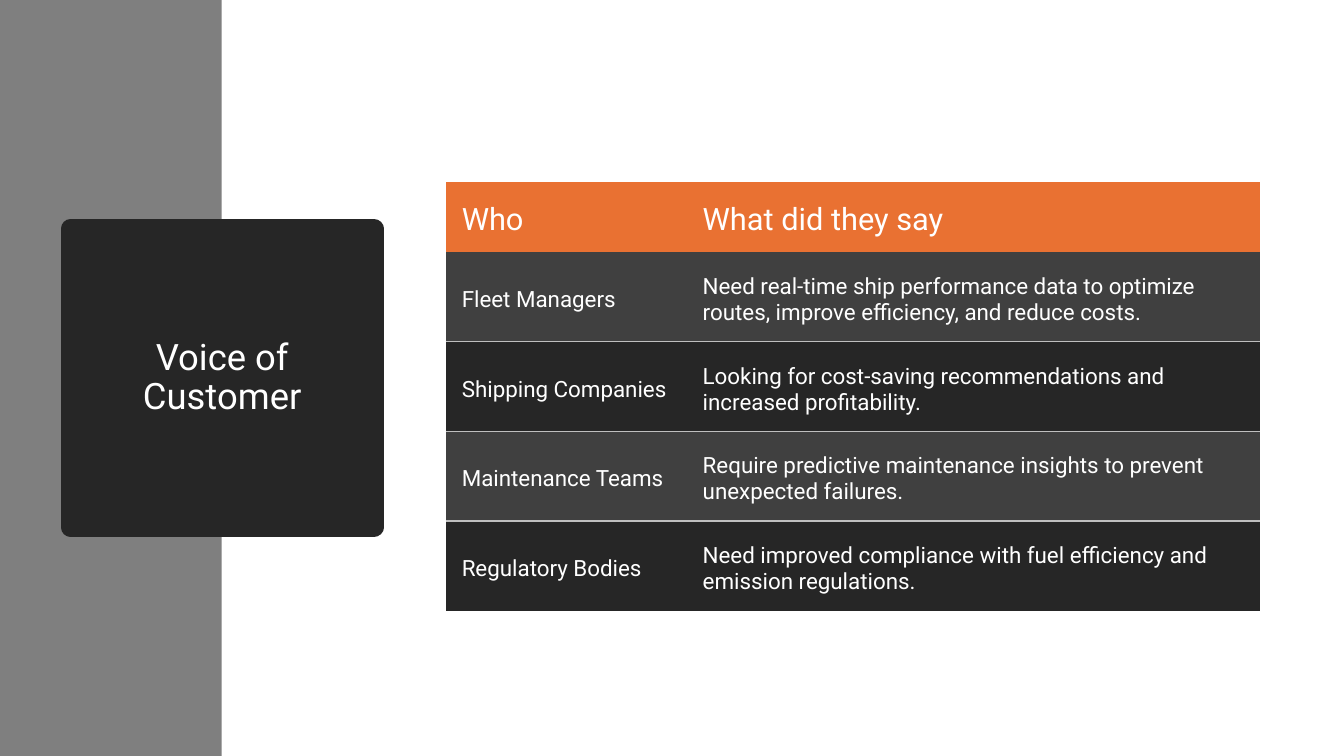
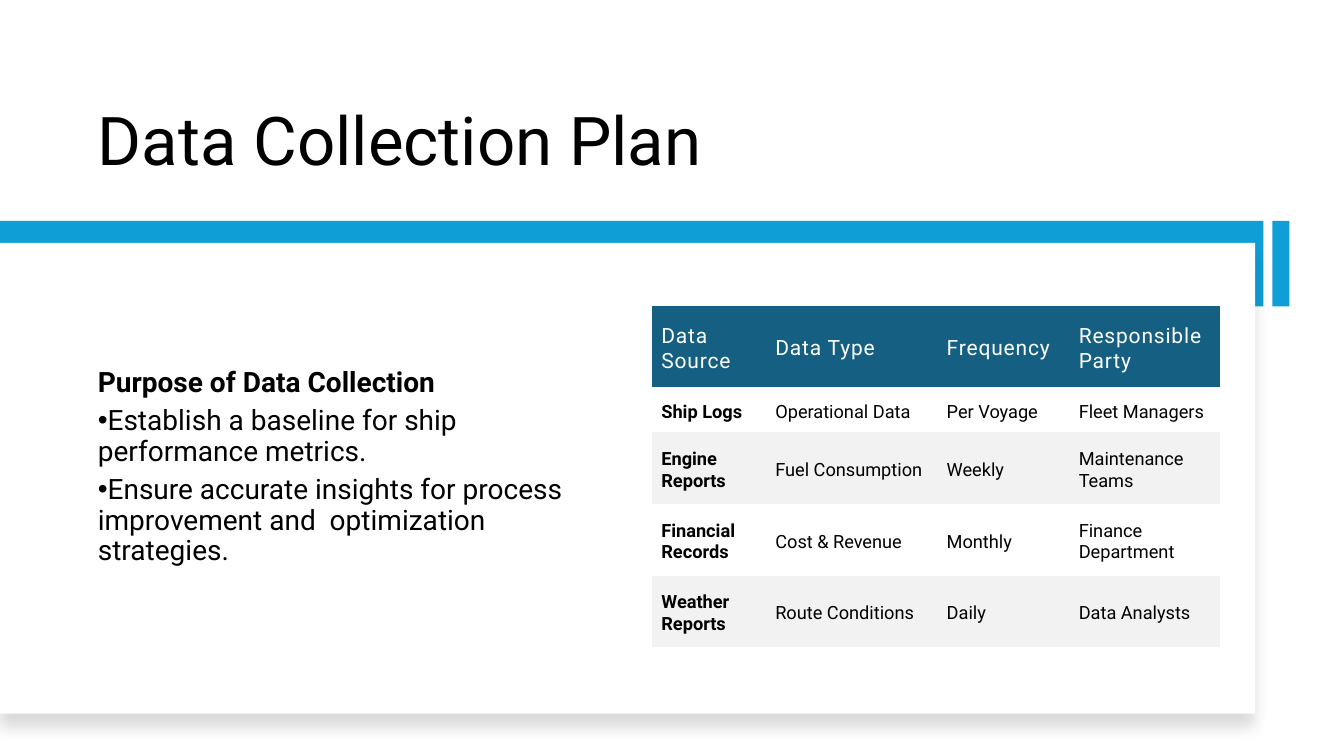
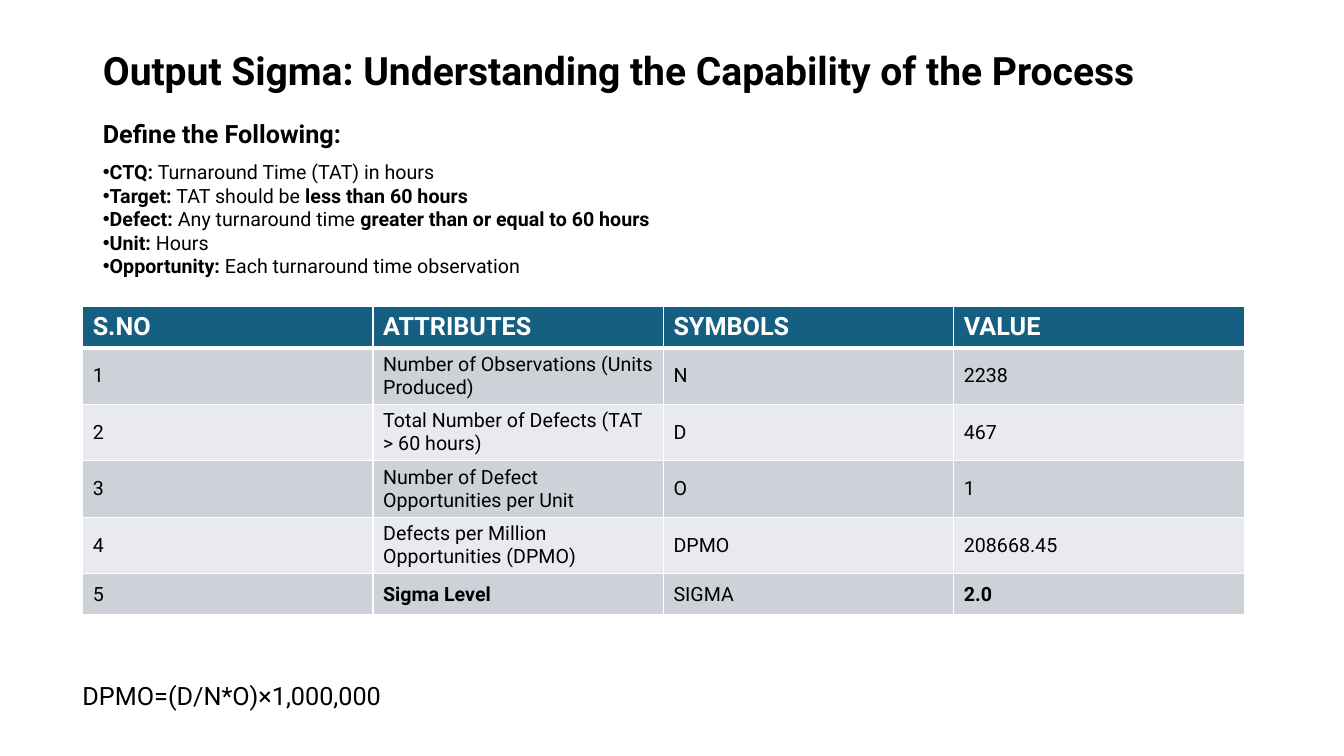
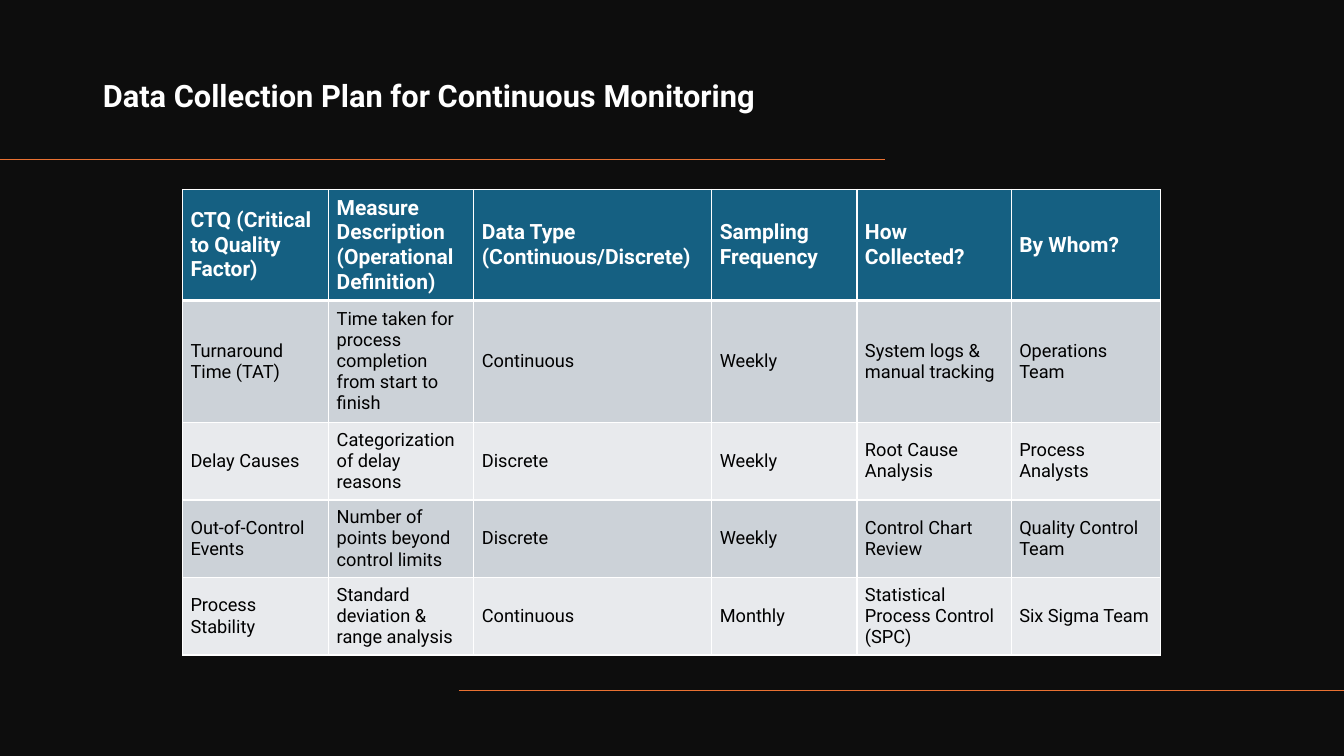
from dataclasses import dataclass

from lxml import etree
from pptx import Presentation
from pptx import slide as sl
from pptx import table as tb
from pptx import util as u
from pptx.dml import color
from pptx.enum import shapes, text
from pptx.oxml import ns
from pptx.shapes import autoshape, base

LEFT, CENTER = text.PP_ALIGN.LEFT, text.PP_ALIGN.CENTER
TOP, MIDDLE, BOTTOM = text.MSO_ANCHOR.TOP, text.MSO_ANCHOR.MIDDLE, text.MSO_ANCHOR.BOTTOM
TITLE_AND_BODY, TITLE_ONLY = 1, 5
PLAIN_TABLE = "{2D5ABB26-0587-4C30-8999-92F81FD0307C}"


@dataclass(frozen=True)
class Theme:
    font: str = "Roboto"
    white: str = "FFFFFF"
    black: str = "000000"
    night: str = "0D0D0D"
    charcoal: str = "262626"
    graphite: str = "404040"
    grey: str = "7F7F7F"
    rule: str = "BFBFBF"
    pale: str = "F2F2F2"
    band_dark: str = "CCD2D8"
    band_light: str = "E8EAED"
    orange: str = "E97132"
    blue: str = "0F9ED5"
    petrol: str = "156082"
    display: float = 48
    headline: float = 27.9
    card: float = 26
    heading: float = 22
    lead: float = 20
    subhead: float = 18
    cell: float = 16
    column_head: float = 15
    body: float = 14
    small: float = 13


THEME = Theme()


@dataclass(frozen=True)
class Box:
    left: float
    top: float
    width: float
    height: float

    def emu(self) -> tuple[u.Length, ...]:
        return tuple(u.Inches(v) for v in (self.left, self.top, self.width, self.height))


@dataclass(frozen=True)
class Run:
    words: str
    size: float
    bold: bool = False
    ink: str = THEME.black
    tracking: int = 0


@dataclass(frozen=True)
class Para:
    runs: tuple[Run, ...]
    spacing: float = 1.0
    after: float = 0
    bullet: bool = False
    align: text.PP_ALIGN = LEFT


@dataclass(frozen=True)
class Insets:
    left: float = 0.1
    top: float = 0.05
    right: float = 0.1
    bottom: float = 0.05


@dataclass(frozen=True)
class TableLook:
    header_fill: str
    row_fills: tuple[str | None, str | None]
    header_size: float
    body_size: float
    body_ink: str = THEME.black
    header_bold: bool = False
    tracking: int = 0
    insets: Insets = Insets()
    bold_cells: frozenset[tuple[int, int]] = frozenset()


def rgb(value: str) -> color.RGBColor:
    return color.RGBColor.from_string(value)


def set_insets(target, insets: Insets) -> None:
    for side in ("left", "top", "right", "bottom"):
        setattr(target, f"margin_{side}", u.Inches(getattr(insets, side)))


def add_run(paragraph, run: Run) -> None:
    piece = paragraph.add_run()
    piece.text = run.words
    piece.font.name = THEME.font
    piece.font.size = u.Pt(run.size)
    piece.font.bold = run.bold
    piece.font.color.rgb = rgb(run.ink)
    if run.tracking:
        piece.font._element.set("spc", str(run.tracking))


def write(frame, paras: list[Para], anchor: text.MSO_ANCHOR, insets: Insets = Insets()) -> None:
    frame.word_wrap = True
    frame.auto_size = text.MSO_AUTO_SIZE.NONE
    frame.vertical_anchor = anchor
    set_insets(frame, insets)
    for index, para in enumerate(paras):
        line = frame.paragraphs[0] if index == 0 else frame.add_paragraph()
        props = line._p.get_or_add_pPr()
        props.set("marL", "0")
        props.set("indent", "0")
        if para.bullet:
            etree.SubElement(props, ns.qn("a:buChar")).set("char", "•")
        else:
            etree.SubElement(props, ns.qn("a:buNone"))
        line.alignment = para.align
        line.line_spacing = para.spacing
        line.space_before = u.Pt(0)
        line.space_after = u.Pt(para.after)
        for run in para.runs:
            add_run(line, run)


def place(slide: sl.Slide, holder: base.BaseShape, box: Box) -> None:
    holder.left, holder.top, holder.width, holder.height = box.emu()
    slide.shapes._spTree.append(holder._element)


def add_title(slide: sl.Slide, box: Box, run: Run, anchor: text.MSO_ANCHOR,
              insets: Insets = Insets(), align: text.PP_ALIGN = LEFT) -> base.BaseShape:
    title = slide.shapes.title
    place(slide, title, box)
    write(title.text_frame, [Para((run,), spacing=0.9, align=align)], anchor, insets)
    return title


def add_body(slide: sl.Slide, box: Box, paras: list[Para], anchor: text.MSO_ANCHOR,
             insets: Insets = Insets()) -> None:
    body = slide.placeholders[1]
    place(slide, body, box)
    write(body.text_frame, paras, anchor, insets)


def add_band(slide: sl.Slide, box: Box, fill: str) -> autoshape.Shape:
    band = slide.shapes.add_shape(shapes.MSO_SHAPE.RECTANGLE, *box.emu())
    band.shadow.inherit = False
    band.fill.solid()
    band.fill.fore_color.rgb = rgb(fill)
    band.line.fill.background()
    return band


def add_soft_shadow(panel: autoshape.Shape) -> None:
    effects = panel._element.spPr.find(ns.qn("a:effectLst"))
    shadow = etree.SubElement(effects, ns.qn("a:outerShdw"), blurRad=str(u.Pt(11)),
                              dist=str(u.Pt(10)), dir="5400000", algn="t", rotWithShape="0")
    tint = etree.SubElement(shadow, ns.qn("a:srgbClr"), val=THEME.black)
    etree.SubElement(tint, ns.qn("a:alpha"), val="15000")


def add_rule(slide: sl.Slide, left: float, right: float, top: float) -> None:
    rule = slide.shapes.add_connector(shapes.MSO_CONNECTOR.STRAIGHT, u.Inches(left),
                                      u.Inches(top), u.Inches(right), u.Inches(top))
    rule.line.color.rgb = rgb(THEME.orange)
    rule.line.width = u.Pt(1)
    etree.SubElement(rule._element.spPr, ns.qn("a:effectLst"))


def set_borders(cell, ink: str, **widths: float) -> None:
    props = cell._tc.get_or_add_tcPr()
    sides = [side for side in "LRTB" if side in widths]
    for index, side in enumerate(sides):
        edge = etree.Element(ns.qn(f"a:ln{side}"), w=str(u.Pt(widths[side])))
        fill = etree.SubElement(edge, ns.qn("a:solidFill"))
        etree.SubElement(fill, ns.qn("a:srgbClr"), val=ink)
        props.insert(index, edge)


def add_grid(table: tb.Table) -> None:
    for number, row in enumerate(table.rows):
        for cell in row.cells:
            set_borders(cell, THEME.white, L=1, R=1, T=3 if number == 1 else 1,
                        B=3 if number == 0 else 1)


def add_table(slide: sl.Slide, left: float, top: float, widths: list[float],
              heights: list[float], rows: list[tuple[str, ...]], look: TableLook) -> tb.Table:
    box = Box(left, top, sum(widths), sum(heights))
    table = slide.shapes.add_table(len(rows), len(widths), *box.emu()).table
    table.first_row = table.horz_banding = False
    table._tbl.tblPr.find(ns.qn("a:tableStyleId")).text = PLAIN_TABLE
    for column, width in zip(table.columns, widths):
        column.width = u.Inches(width)
    for r, (height, words) in enumerate(zip(heights, rows)):
        table.rows[r].height = u.Inches(height)
        fill = look.row_fills[(r - 1) % 2] if r else look.header_fill
        for c, label in enumerate(words):
            cell = table.cell(r, c)
            cell.vertical_anchor = MIDDLE
            set_insets(cell, look.insets)
            if fill:
                cell.fill.solid()
                cell.fill.fore_color.rgb = rgb(fill)
            else:
                cell.fill.background()
            run = (Run(label, look.body_size, (r, c) in look.bold_cells, look.body_ink) if r
                   else Run(label, look.header_size, look.header_bold, THEME.white, look.tracking))
            add_run(cell.text_frame.paragraphs[0], run)
    return table


def voice_of_customer(slide: sl.Slide) -> None:
    add_band(slide, Box(0, 0, 2.2, 7.5), THEME.grey)
    card = add_title(slide, Box(0.7, 2.27, 3.01, 2.96),
                     Run("Voice of Customer", THEME.card, ink=THEME.white), MIDDLE,
                     Insets(left=0.44, right=0.44), CENTER)
    card.fill.solid()
    card.fill.fore_color.rgb = rgb(THEME.charcoal)
    card.line.color.rgb = rgb(THEME.charcoal)
    card.line.width = u.Pt(13.75)
    voices = [
        ("Who", "What did they say"),
        ("Fleet Managers", "Need real-time ship performance data to optimize routes, "
                           "improve efficiency, and reduce costs."),
        ("Shipping Companies", "Looking for cost-saving recommendations and increased profitability."),
        ("Maintenance Teams", "Require predictive maintenance insights to prevent unexpected failures."),
        ("Regulatory Bodies", "Need improved compliance with fuel efficiency and emission regulations."),
    ]
    look = TableLook(THEME.orange, (THEME.graphite, THEME.charcoal), THEME.heading, THEME.cell,
                     body_ink=THEME.white, insets=Insets(0.16, 0.14, 0.16, 0.08))
    table = add_table(slide, 4.42, 1.81, [2.39, 5.69], [0.69] + [0.89] * 4, voices, look)
    for number in range(1, len(voices)):
        for cell in table.rows[number].cells:
            set_borders(cell, THEME.rule, **{"B" if number % 2 else "T": 1})


def data_collection_plan(slide: sl.Slide) -> None:
    add_title(slide, Box(0.87, 0.42, 11.01, 1.42),
              Run("Data Collection Plan", THEME.display), BOTTOM)
    add_band(slide, Box(0, 2.19, 12.53, 0.85), THEME.blue)
    add_soft_shadow(add_band(slide, Box(0, 2.41, 12.45, 4.67), THEME.white))
    purposes = (
        "Establish a baseline for ship performance metrics.",
        "Ensure accurate insights for process improvement and  optimization strategies.",
    )
    heading = Para((Run("Purpose of Data Collection", THEME.lead, True),), 0.9, 6)
    points = [Para((Run(purpose, THEME.lead),), 0.9, 6, True) for purpose in purposes]
    add_body(slide, Box(0.87, 2.84, 4.96, 3.98), [heading, *points], MIDDLE, Insets(bottom=0.44))
    add_band(slide, Box(12.62, 2.19, 0.17, 0.85), THEME.blue)
    sources = [
        ("Data Source", "Data Type", "Frequency", "Responsible Party"),
        ("Ship Logs", "Operational Data", "Per Voyage", "Fleet Managers"),
        ("Engine Reports", "Fuel Consumption", "Weekly", "Maintenance Teams"),
        ("Financial Records", "Cost & Revenue", "Monthly", "Finance Department"),
        ("Weather Reports", "Route Conditions", "Daily", "Data Analysts"),
    ]
    look = TableLook(THEME.petrol, (None, THEME.pale), THEME.column_head, THEME.small,
                     tracking=60, insets=Insets(0.09, 0.09, 0.09, 0.05),
                     bold_cells=frozenset((row, 0) for row in range(1, len(sources))))
    add_table(slide, 6.47, 3.04, [1.13, 1.7, 1.31, 1.49], [0.8, 0.45] + [0.71] * 3, sources, look)


def output_sigma(slide: sl.Slide) -> None:
    add_title(slide, Box(0.92, 0.4, 11.5, 0.87),
              Run("Output Sigma: Understanding the Capability of the Process", THEME.headline, True),
              MIDDLE, Insets(bottom=0.28))
    attributes = [
        ("S.NO", "ATTRIBUTES", "SYMBOLS", "VALUE"),
        ("1", "Number of Observations (Units Produced)", "N", "2238"),
        ("2", "Total Number of Defects (TAT > 60 hours)", "D", "467"),
        ("3", "Number of Defect Opportunities per Unit", "O", "1"),
        ("4", "Defects per Million Opportunities (DPMO)", "DPMO", "208668.45"),
        ("5", "Sigma Level", "SIGMA", "2.0"),
    ]
    look = TableLook(THEME.petrol, (THEME.band_dark, THEME.band_light), THEME.subhead, THEME.body,
                     header_bold=True, bold_cells=frozenset({(5, 1), (5, 3)}))
    add_grid(add_table(slide, 0.82, 3.04, [2.88] * 4, [0.41] * 6, attributes, look))
    definitions = [
        ("CTQ:", " Turnaround Time (TAT) in hours"),
        ("Target:", " TAT should be ", "less than 60 hours"),
        ("Defect:", " Any turnaround time ", "greater than or equal to 60 hours"),
        ("Unit:", " Hours"),
        ("Opportunity:", " Each turnaround time observation"),
    ]
    paras = [Para((Run("Define the Following:", THEME.subhead, True),), 1.5)]
    for number, parts in enumerate(definitions):
        runs = tuple(Run(part, THEME.body, i % 2 == 0) for i, part in enumerate(parts))
        paras.append(Para(runs, 1.0 if number else 1.5, bullet=True))
    add_body(slide, Box(0.92, 0.97, 7.98, 1.85), paras, TOP)
    formula = slide.shapes.add_textbox(*Box(0.72, 6.7, 6.67, 0.4).emu())
    write(formula.text_frame, [Para((Run("DPMO=(D/N*O)×1,000,000", THEME.subhead),))], TOP)


def continuous_monitoring(slide: sl.Slide) -> None:
    add_band(slide, Box(0, 0, 13.33, 7.5), THEME.night)
    add_title(slide, Box(0.92, 0.42, 7.86, 1.12),
              Run("Data Collection Plan for Continuous Monitoring", THEME.heading, True, THEME.white),
              BOTTOM, Insets(bottom=0.41))
    add_rule(slide, 0, 8.78, 1.58)
    add_rule(slide, 4.55, 13.33, 6.85)
    measures = [
        ("CTQ (Critical to Quality Factor)", "Measure Description (Operational Definition)",
         "Data Type (Continuous/Discrete)", "Sampling Frequency", "How Collected?", "By Whom?"),
        ("Turnaround Time (TAT)", "Time taken for process completion from start to finish",
         "Continuous", "Weekly", "System logs & manual tracking", "Operations Team"),
        ("Delay Causes", "Categorization of delay reasons",
         "Discrete", "Weekly", "Root Cause Analysis", "Process Analysts"),
        ("Out-of-Control Events", "Number of points beyond control limits",
         "Discrete", "Weekly", "Control Chart Review", "Quality Control Team"),
        ("Process Stability", "Standard deviation & range analysis",
         "Continuous", "Monthly", "Statistical Process Control (SPC)", "Six Sigma Team"),
    ]
    look = TableLook(THEME.petrol, (THEME.band_dark, THEME.band_light), THEME.column_head,
                     THEME.small, header_bold=True, insets=Insets(0.08, 0.04, 0.08, 0.04))
    add_grid(add_table(slide, 1.81, 1.88, [1.45, 1.44, 2.36, 1.44, 1.53, 1.48],
                       [1.1, 1.21] + [0.77] * 3, measures, look))


def main() -> None:
    deck = Presentation()
    deck.slide_width, deck.slide_height = u.Inches(13.33), u.Inches(7.5)
    for layout, build in (
        (TITLE_ONLY, voice_of_customer),
        (TITLE_AND_BODY, data_collection_plan),
        (TITLE_AND_BODY, output_sigma),
        (TITLE_ONLY, continuous_monitoring),
    ):
        build(deck.slides.add_slide(deck.slide_layouts[layout]))
    deck.save("out.pptx")


if __name__ == "__main__":
    main()
